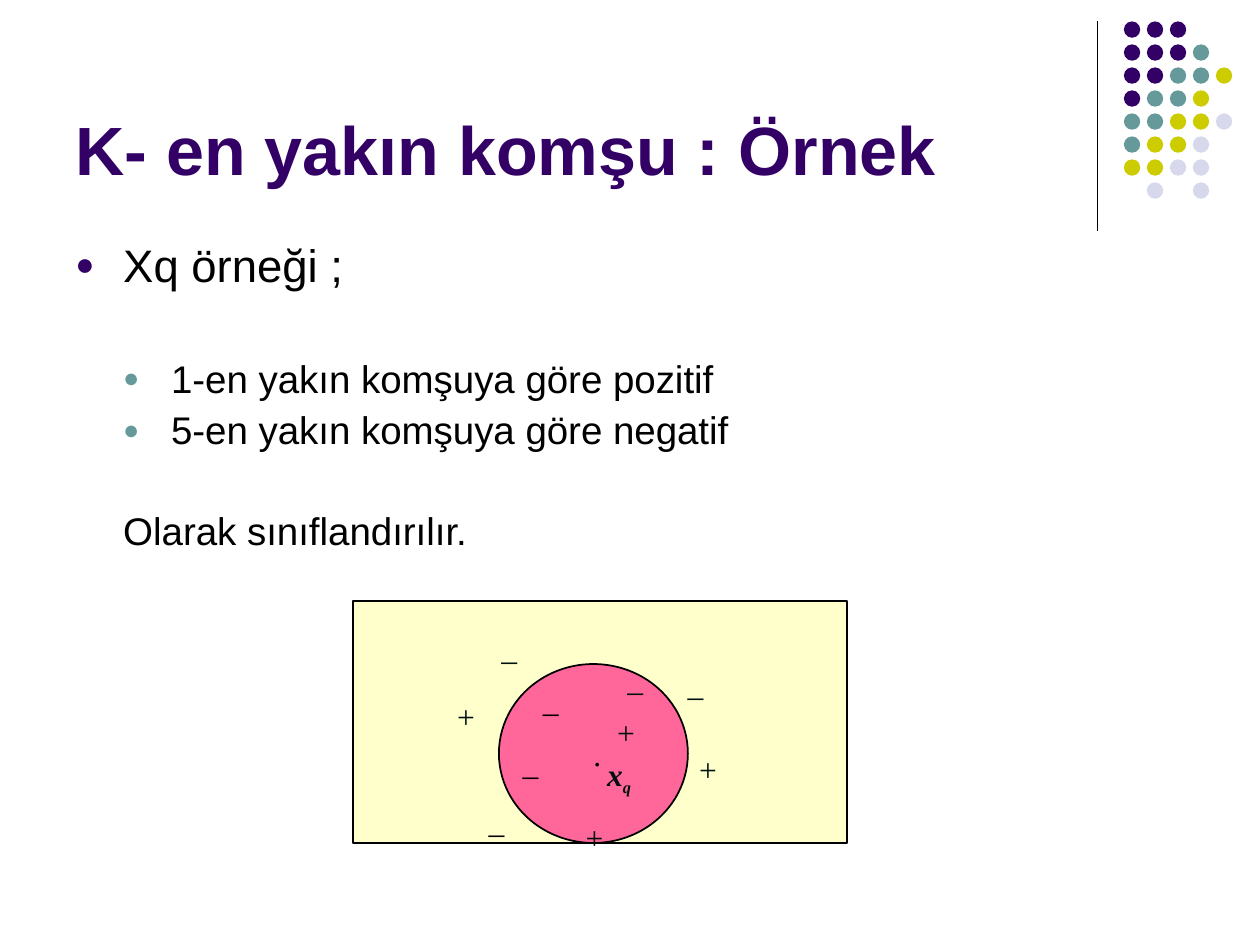
"""Build the slide on nearest neighbours with its dot motif and sample plot."""
from dataclasses import dataclass

from lxml.etree import SubElement
from pptx import Presentation
from pptx.dml.color import RGBColor
from pptx.enum.shapes import MSO_CONNECTOR, MSO_SHAPE
from pptx.enum.text import MSO_ANCHOR, PP_ALIGN
from pptx.oxml.ns import qn
from pptx.util import Inches, Pt


@dataclass(frozen=True)
class Theme:
    plum: str = "330066"
    teal: str = "669999"
    lime: str = "CCCC00"
    pale: str = "D8D8EC"
    black: str = "000000"
    ink: str = "001010"
    cream: str = "FFFFCC"
    pink: str = "FF6699"
    sans: str = "Arial"
    serif: str = "Times New Roman"
    title: int = 39
    lead: int = 26
    item: int = 22
    mark: int = 18
    sub: int = 16


@dataclass(frozen=True)
class Box:
    left: float
    top: float
    width: float
    height: float

    def place(self) -> list:
        return [Inches(v) for v in (self.left, self.top, self.width, self.height)]


@dataclass(frozen=True)
class Line:
    text: str
    size: int
    before: float
    indent: float
    hang: float = 0
    bullet: str = ""


@dataclass(frozen=True)
class Mark:
    sign: str
    left: float
    top: float
    color: str


THEME = Theme()
DOTS = ("PPP", "PPPT", "PPTTY", "PTTY", "TTYYL", "TYYL", "YYLL", " L L")
TINTS = {"P": THEME.plum, "T": THEME.teal, "Y": THEME.lime, "L": THEME.pale}
PITCH = 0.73 / 4
LINES = (
    Line("Xq örneği ;", THEME.lead, 6.5, 0.38, -0.38, THEME.plum),
    Line("1-en yakın komşuya göre pozitif", THEME.item, 38.9, 0.76, -0.38, THEME.teal),
    Line("5-en yakın komşuya göre negatif", THEME.item, 5.5, 0.76, -0.38, THEME.teal),
    Line("Olarak sınıflandırılır.", THEME.item, 33.8, 0.76, -0.38),
)
MARKS = (
    Mark("_", 4.21, 5.36, THEME.black),
    Mark("+", 4.8, 5.61, THEME.ink),
    Mark("_", 4.05, 5.86, THEME.black),
    Mark("+", 4.55, 6.44, THEME.ink),
    Mark("_", 4.88, 5.19, THEME.ink),
    Mark("_", 5.36, 5.23, THEME.ink),
    Mark("+", 3.53, 5.48, THEME.ink),
    Mark("_", 3.78, 6.32, THEME.black),
    Mark("_", 3.88, 4.94, THEME.ink),
    Mark("+", 5.45, 5.9, THEME.ink),
)
WIDTHS = {"_": 0.32, "+": 0.34}


def apply(target, values: dict) -> None:
    for name, value in values.items():
        setattr(target, name, value)


def write(para, text: str, size: int, face: str, color: str, **style):
    run = para.add_run()
    run.text = text
    apply(run.font, {"size": Pt(size), "name": face, **style})
    run.font.color.rgb = RGBColor.from_string(color)
    return run


def frame(shapes, box: Box, **style):
    text = shapes.add_textbox(*box.place()).text_frame
    apply(text, style)
    return text


def draw(shapes, kind: MSO_SHAPE, box: Box, fill: str, edge: str = ""):
    shape = shapes.add_shape(kind, *box.place())
    shape.shadow.inherit = False
    shape.fill.solid()
    shape.fill.fore_color.rgb = RGBColor.from_string(fill)
    if edge:
        shape.line.color.rgb = RGBColor.from_string(edge)
        shape.line.width = Pt(1)
    else:
        shape.line.fill.background()
    return shape


def corner(shapes) -> None:
    rule = shapes.add_connector(
        MSO_CONNECTOR.STRAIGHT, Inches(8.71), Inches(0.17), Inches(8.71), Inches(1.83))
    rule.line.color.rgb = RGBColor.from_string(THEME.black)
    rule.line.width = Pt(0.75)
    SubElement(rule._element.spPr, qn("a:effectLst"))
    group = shapes.add_group_shape().shapes
    for row, keys in enumerate(DOTS):
        for col, key in enumerate(keys):
            if key in TINTS:
                box = Box(8.92 + col * PITCH, 0.17 + row * PITCH, 0.13, 0.13)
                draw(group, MSO_SHAPE.OVAL, box, TINTS[key])


def add_line(para, line: Line) -> None:
    apply(para, {"line_spacing": 0.9, "space_before": Pt(line.before)})
    props = para._p.get_or_add_pPr()
    props.set("marL", str(Inches(line.indent)))
    props.set("indent", str(Inches(line.hang)))
    if line.bullet:
        color = SubElement(props, qn("a:buClr"))
        SubElement(color, qn("a:srgbClr"), val=line.bullet)
        SubElement(props, qn("a:buSzPct"), val="70000")
        SubElement(props, qn("a:buFont"), typeface=THEME.sans)
        SubElement(props, qn("a:buChar"), char="●")
    else:
        SubElement(props, qn("a:buNone"))
    write(para, line.text, line.size, THEME.sans, THEME.black)


def words(shapes) -> None:
    title = frame(shapes, Box(0.5, 0.13, 8.25, 1.42),
                  word_wrap=True, vertical_anchor=MSO_ANCHOR.BOTTOM)
    write(title.paragraphs[0], "K- en yakın komşu : Örnek",
          THEME.title, THEME.sans, THEME.plum, bold=True)
    body = frame(shapes, Box(0.5, 1.88, 9, 2.66), word_wrap=True)
    for index, line in enumerate(LINES):
        add_line(body.add_paragraph() if index else body.paragraphs[0], line)


def plot(shapes) -> None:
    group = shapes.add_group_shape().shapes
    draw(group, MSO_SHAPE.RECTANGLE, Box(2.8, 4.77, 3.92, 1.92), THEME.cream, THEME.black)
    disc = draw(group, MSO_SHAPE.OVAL, Box(3.96, 5.27, 1.5, 1.42), THEME.pink, THEME.black)
    apply(disc.text_frame, {"word_wrap": False, "margin_left": Inches(0.16),
                            "vertical_anchor": MSO_ANCHOR.MIDDLE})
    point = disc.text_frame.paragraphs[0]
    point.alignment = PP_ALIGN.CENTER
    write(point, ".", THEME.mark, THEME.serif, THEME.black)
    for mark in MARKS:
        text = frame(group, Box(mark.left, mark.top, WIDTHS[mark.sign], 0.4), word_wrap=False)
        write(text.paragraphs[0], mark.sign, THEME.mark, THEME.serif, mark.color)
    query = frame(group, Box(4.72, 5.94, 0.39, 0.43), word_wrap=False).paragraphs[0]
    style = {"bold": True, "italic": True}
    write(query, "x", THEME.mark, THEME.serif, THEME.ink, **style)
    low = write(query, "q", THEME.sub, THEME.serif, THEME.ink, **style)
    low._r.get_or_add_rPr().set("baseline", "-25000")


def main() -> None:
    deck = Presentation()
    apply(deck, {"slide_width": Inches(10), "slide_height": Inches(7.5)})
    shapes = deck.slides.add_slide(deck.slide_layouts[6]).shapes
    for part in (corner, words, plot):
        part(shapes)
    deck.save("out.pptx")


if __name__ == "__main__":
    main()
